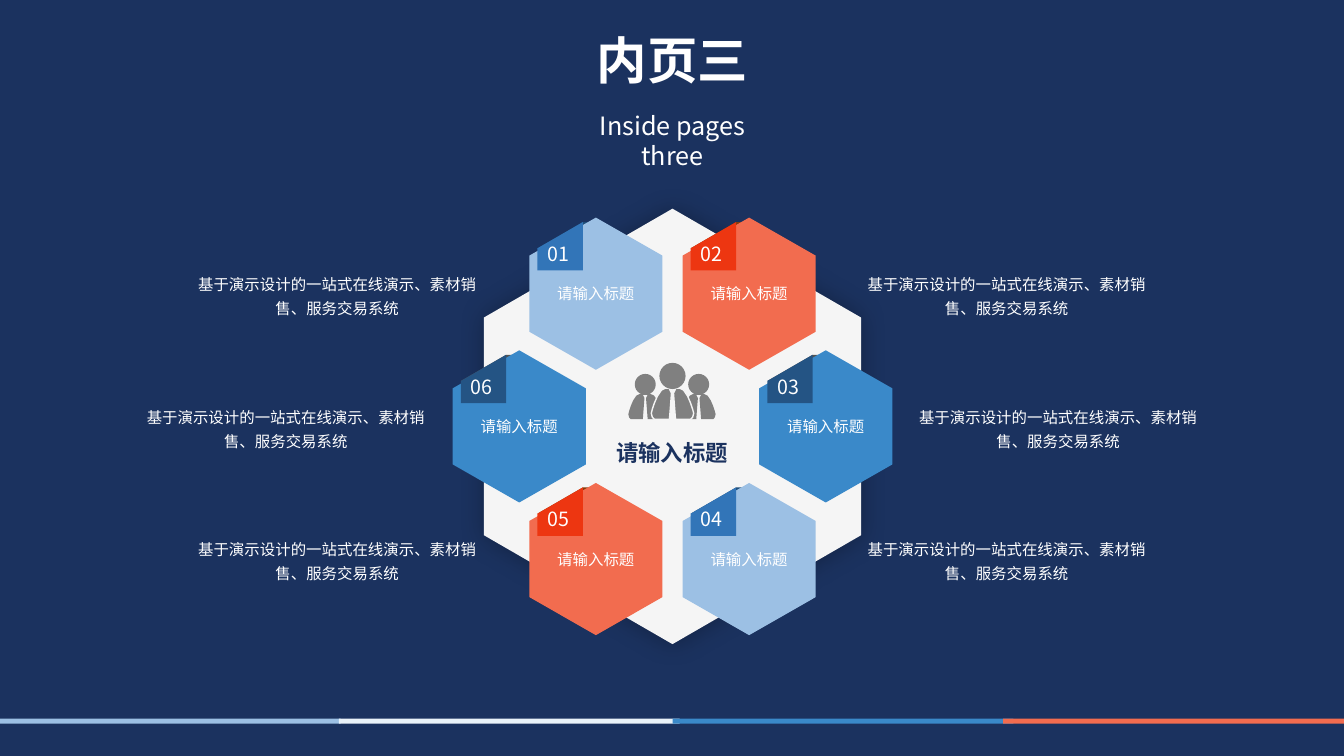
from math import cos, radians, sin

from lxml.etree import SubElement
from pptx import Presentation
from pptx.dml.color import RGBColor
from pptx.enum.shapes import MSO_SHAPE
from pptx.enum.text import MSO_ANCHOR, PP_ALIGN
from pptx.oxml.ns import qn
from pptx.util import Inches, Pt

FONT = "Noto Sans CJK SC"
NAVY, WHITE, PALE, GRAY = "1B325F", "FFFFFF", "F5F5F5", "808080"
LIGHT, BLUE, CORAL = "9CC0E4", "3A89C9", "F26C4F"

TITLE = "内页三"
SUBTITLE = "Inside pages three"
LABEL = "请输入标题"
DESCRIPTION = "基于演示设计的一站式在线演示、素材销售、服务交易系统"

# number, angle on the ring, hexagon, tab and fold colours
ITEMS = [
    ("01", 240, LIGHT, "3275B8", "1F4E79"),
    ("02", 300, CORAL, "ED3611", "843C0B"),
    ("03", 0, BLUE, "245484", "525252"),
    ("04", 60, LIGHT, "3275B8", "1F4E79"),
    ("05", 120, CORAL, "ED3611", "843C0B"),
    ("06", 180, BLUE, "245484", "525252"),
]
STRIPES = [(0, LIGHT), (3.36, "E9F2F9"), (6.67, BLUE), (9.95, CORAL)]
# centre, top and scale of each person
PEOPLE = [(6.4, 3.71, 0.8), (6.93, 3.71, 0.8), (6.67, 3.6, 1)]

CENTER_X, CENTER_Y, RING_RADIUS = 6.67, 4.23, 1.52
FOLD = [(-0.58, -0.45), (-0.13, -0.71), (0, -0.71), (0, -0.45)]
TAB = [(-0.58, -0.23), (-0.13, -0.23), (-0.13, -0.71), (-0.58, -0.45)]
HALF_BODY = [
    (0.04, 0.25), (0.07, 0.25), (0.11, 0.27), (0.15, 0.33), (0.18, 0.4), (0.2, 0.46),
    (0.21, 0.5), (0.2, 0.54), (0.18, 0.56), (0.03, 0.56), (0.01, 0.3), (0.03, 0.26),
]
BODY = HALF_BODY + [(-x, y) for x, y in reversed(HALF_BODY)]

presentation = Presentation()
presentation.slide_width = Inches(13.33)
presentation.slide_height = Inches(7.5)
slide = presentation.slides.add_slide(presentation.slide_layouts[0])


def color(value):
    return RGBColor.from_string(value)


def paint(shape, fill, outline=None):
    shape.shadow.inherit = False
    shape.fill.solid()
    shape.fill.fore_color.rgb = color(fill)
    if outline:
        shape.line.color.rgb = color(outline)
        shape.line.width = Pt(1)
    else:
        shape.line.fill.background()


def place(shape, left, top, width, height):
    shape.left, shape.top = Inches(left), Inches(top)
    shape.width, shape.height = Inches(width), Inches(height)
    return shape


def write(shape, text, size, font=FONT, fill=WHITE, bold=False,
          align=PP_ALIGN.CENTER, anchor=MSO_ANCHOR.MIDDLE, spacing=1.0, wrap=True):
    frame = shape.text_frame
    frame.word_wrap = wrap
    frame.vertical_anchor = anchor
    paragraph = frame.paragraphs[0]
    paragraph.alignment = align
    paragraph.line_spacing = spacing
    paragraph.space_before = Pt(0)
    run = paragraph.add_run()
    run.text = text
    run.font.size = Pt(size)
    run.font.bold = bold
    run.font.name = font
    run.font.color.rgb = color(fill)
    SubElement(run.font._element, qn("a:ea"), typeface=font)


def polygon(center_x, center_y, offsets, fill, scale=1, outline=None):
    points = [(Inches(center_x + x * scale), Inches(center_y + y * scale)) for x, y in offsets]
    builder = slide.shapes.build_freeform(*points[0])
    builder.add_line_segments(points[1:], close=True)
    shape = builder.convert_to_shape()
    paint(shape, fill, outline)
    return shape


def hexagon(center_x, center_y, half_width, half_height, fill):
    shoulder = half_height / 2
    right = [(0, -half_height), (half_width, -shoulder), (half_width, shoulder)]
    return polygon(center_x, center_y, right + [(-x, -y) for x, y in right], fill)


def add_glow_shadow(shape):
    effects = shape._element.spPr.find(qn("a:effectLst"))
    shadow = SubElement(effects, qn("a:outerShdw"), blurRad=str(Pt(18)), dist="0",
                        algn="ctr", rotWithShape="0")
    black = SubElement(shadow, qn("a:srgbClr"), val="000000")
    SubElement(black, qn("a:alpha"), val="28000")


def add_person(center_x, top, scale):
    outline = PALE if scale == 1 else None
    polygon(center_x, top, BODY, GRAY, scale, outline)
    size = 0.26 * scale
    head = slide.shapes.add_shape(MSO_SHAPE.OVAL, Inches(center_x - size / 2), Inches(top),
                                  Inches(size), Inches(size))
    paint(head, GRAY)


def add_text_box(left, top, width, height):
    return slide.shapes.add_textbox(Inches(left), Inches(top), Inches(width), Inches(height))


def add_item(number, angle, fill, tab_fill, fold_fill):
    x = CENTER_X + RING_RADIUS * cos(radians(angle))
    y = CENTER_Y + RING_RADIUS * sin(radians(angle))
    polygon(x, y, FOLD, fold_fill)
    write(hexagon(x, y, 0.66, 0.755, fill), LABEL, 11)
    write(polygon(x, y, TAB, tab_fill), number, 14,
          align=PP_ALIGN.LEFT, anchor=MSO_ANCHOR.BOTTOM)
    distance = 3.83 if angle in (0, 180) else 3.32
    text_center = CENTER_X + (distance if x > CENTER_X else -distance)
    write(add_text_box(text_center - 1.5, y - 0.29, 2.99, 0.58), DESCRIPTION, 11,
          anchor=MSO_ANCHOR.TOP, spacing=1.3)


slide.background.fill.solid()
slide.background.fill.fore_color.rgb = color(NAVY)
for left, fill in STRIPES:
    stripe = slide.shapes.add_shape(MSO_SHAPE.RECTANGLE, Inches(left), Inches(7.13),
                                    Inches(3.38), Inches(0.05))
    paint(stripe, fill)

title, subtitle = slide.placeholders
write(place(title, 5.81, 0.24, 1.72, 0.71), TITLE, 36, bold=True,
      anchor=MSO_ANCHOR.TOP, wrap=False)
write(place(subtitle, 5.81, 1.04, 1.72, 0.7), SUBTITLE, 18, font="Noto Sans CJK TC",
      anchor=MSO_ANCHOR.TOP)

add_glow_shadow(hexagon(CENTER_X, CENTER_Y, 1.87, 2.16, PALE))
for item in ITEMS:
    add_item(*item)
for person in PEOPLE:
    add_person(*person)
write(add_text_box(5.8, 4.16, 1.73, 0.65), LABEL, 16, fill=NAVY, bold=True)

presentation.save("out.pptx")
